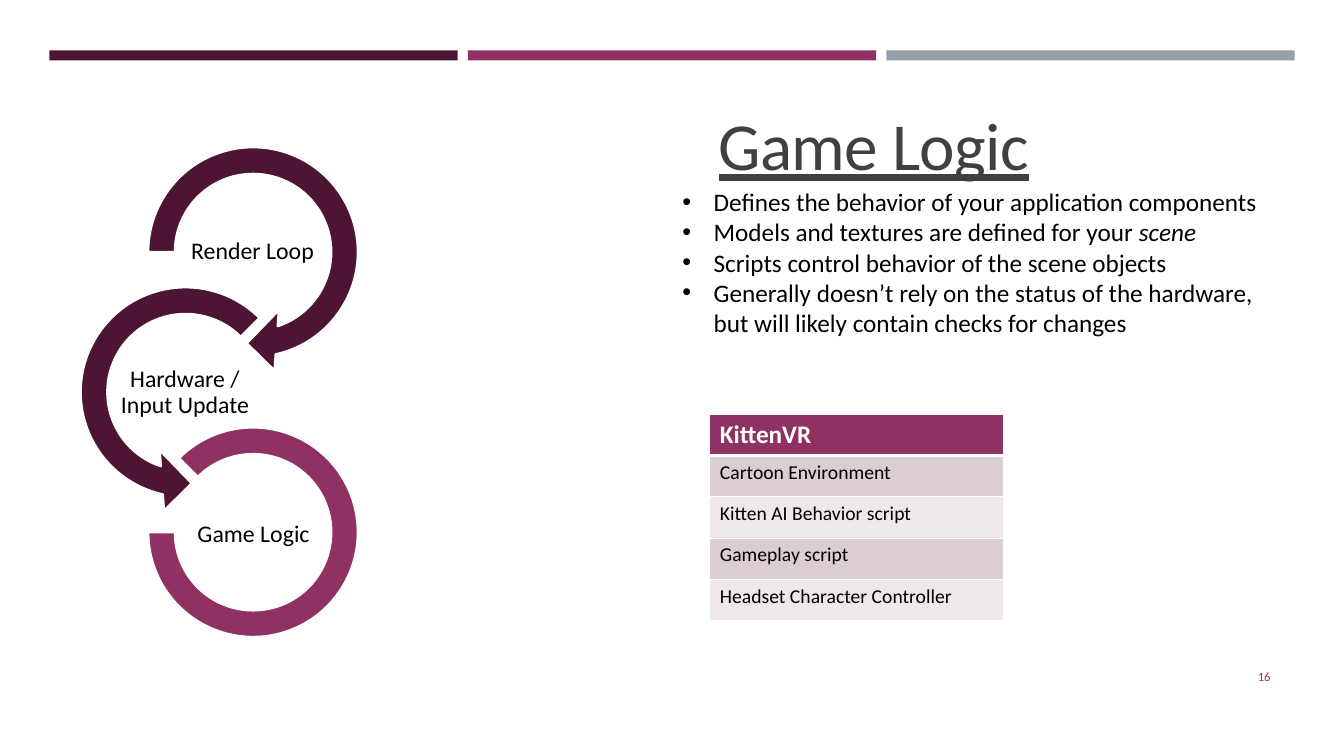
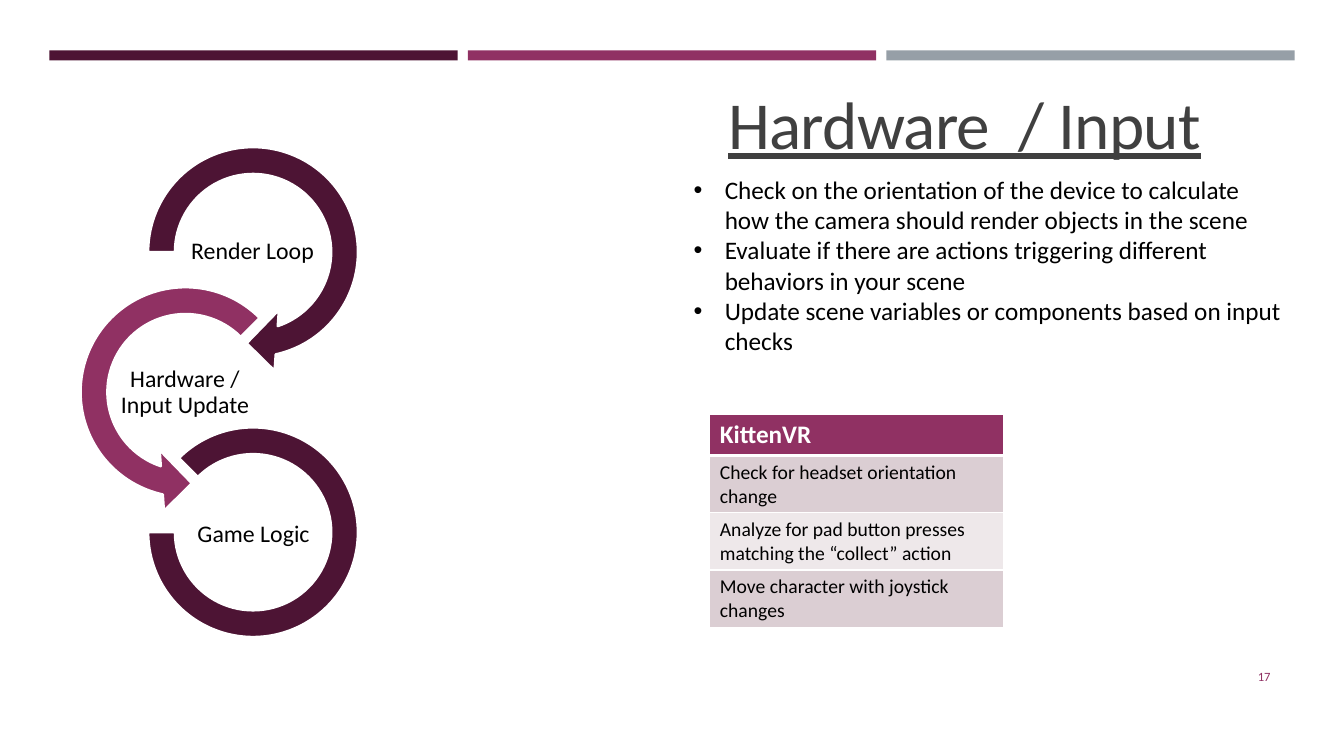
from lxml import etree
from pptx import Presentation
from pptx.dml.color import RGBColor
from pptx.enum import shapes, text
from pptx.oxml import ns
from pptx.util import Inches, Pt

FONT = "Calibri"
PLUM, BERRY, GREY = "4D1434", "903163", "969FA7"
INK, BLACK, WHITE = "404040", "000000", "FFFFFF"
ROW_TINTS = ("DBCED3", "EEE8EA")

STEPS = (
    ("Render Loop", shapes.MSO_SHAPE.CIRCULAR_ARROW, (0.67, 0, 2.42),
     (0.1098, 11.42, 45, 108, 0.125), (1.2, 0.87)),
    ("Hardware / Input Update", shapes.MSO_SHAPE.LEFT_CIRCULAR_ARROW, (0, 1.39, 2.42),
     (0.1098, 11.42, 63, 189, 0.125), (0.53, 2.27)),
    ("Game Logic", shapes.MSO_SHAPE.BLOCK_ARC, (0.84, 2.95, 2.08),
     (135, 108, 0.1274), (1.21, 3.68)),
)


def colour(value):
    return RGBColor.from_string(value)


def style(para, size, ink, bold=False):
    para.font.name = FONT
    para.font.size = Pt(size)
    para.font.color.rgb = colour(ink)
    para.font.bold = bold


def add_shape(parent, kind, box, fill, line=None):
    shape = parent.add_shape(kind, *map(Inches, box))
    shape.shadow.inherit = False
    shape.fill.solid()
    shape.fill.fore_color.rgb = colour(fill)
    if line:
        shape.line.color.rgb = colour(line)
        shape.line.width = Pt(1.75)
    else:
        shape.line.fill.background()
    return shape


def add_frame(parent, box, anchor=text.MSO_ANCHOR.TOP):
    frame = parent.add_textbox(*map(Inches, box)).text_frame
    frame.word_wrap = True
    frame.vertical_anchor = anchor
    return frame


def add_bands(page, left=0.49, top=0.5, width=4.05, gap=0.1):
    for index, fill in enumerate((PLUM, BERRY, GREY)):
        box = (left + index * (width + gap), top, width, 0.1)
        add_shape(page.shapes, shapes.MSO_SHAPE.RECTANGLE, box, fill)


def add_title(page, box, title):
    para = add_frame(page.shapes, box).paragraphs[0]
    para.alignment = text.PP_ALIGN.RIGHT
    para.line_spacing = 0.85
    style(para, 48, INK)
    para.font.underline = True
    span = para.add_run()
    span.text = title
    span.font._element.set("spc", "-50")


def add_bullets(page, box, items):
    frame = add_frame(page.shapes, box)
    for index, spans in enumerate(items):
        para = frame.add_paragraph() if index else frame.paragraphs[0]
        props = para._p.get_or_add_pPr()
        props.set("marL", str(Inches(0.31)))
        props.set("indent", str(-Inches(0.31)))
        etree.SubElement(props, ns.qn("a:buFont"), typeface="Arial")
        etree.SubElement(props, ns.qn("a:buChar"), char="•")
        style(para, 18, BLACK)
        for position, words in enumerate(spans):
            span = para.add_run()
            span.text = words
            if position:
                span.font.italic = True


def add_cycle(page, left, top, active):
    group = page.shapes.add_group_shape().shapes
    for name, kind, (x, y, size), adjustments, (label_x, label_y) in STEPS:
        fill = BERRY if name == active else PLUM
        ring = add_shape(group, kind, (left + x, top + y, size, size), fill, WHITE)
        for index, value in enumerate(adjustments):
            ring.adjustments[index] = value
        frame = add_frame(group, (left + label_x, top + label_y, 1.35, 0.67),
                          text.MSO_ANCHOR.MIDDLE)
        frame.margin_left = frame.margin_right = Inches(0.01)
        frame.margin_top = frame.margin_bottom = Inches(0.01)
        para = frame.paragraphs[0]
        para.text = name
        para.alignment = text.PP_ALIGN.CENTER
        para.line_spacing = 0.9
        style(para, 17, BLACK)


def set_borders(cell, bottom):
    props = cell._tc.get_or_add_tcPr()
    for side, width in (("L", 1), ("R", 1), ("T", 1), ("B", bottom)):
        line = etree.SubElement(props, ns.qn("a:ln" + side), w=str(Pt(width)))
        fill = etree.SubElement(line, ns.qn("a:solidFill"))
        etree.SubElement(fill, ns.qn("a:srgbClr"), val=WHITE)


def add_example(page, left, top, rows, width=2.91, row_height=0.41):
    lines = ("KittenVR",) + rows
    box = (left, top, width, row_height * len(lines))
    table = page.shapes.add_table(len(lines), 1, *map(Inches, box)).table
    for index, words in enumerate(lines):
        header = index == 0
        table.rows[index].height = Inches(row_height)
        cell = table.cell(index, 0)
        set_borders(cell, 3 if header else 1)
        cell.fill.solid()
        cell.fill.fore_color.rgb = colour(BERRY if header else ROW_TINTS[(index - 1) % 2])
        para = cell.text_frame.paragraphs[0]
        para.text = words
        style(para, 18 if header else 14, WHITE if header else BLACK, header)


def add_number(page, number):
    frame = add_frame(page.shapes, (11.55, 6.51, 1.15, 0.4), text.MSO_ANCHOR.MIDDLE)
    para = frame.paragraphs[0]
    para.text = str(number)
    para.alignment = text.PP_ALIGN.RIGHT
    style(para, 9, BERRY)


def add_page(deck, number, title, title_box, bullets, bullet_box, active, rows):
    page = deck.slides.add_slide(deck.slide_layouts[6])
    add_bands(page)
    add_title(page, title_box, title)
    add_bullets(page, bullet_box, bullets)
    add_cycle(page, 0.63, 1.29, active)
    add_example(page, 7.04, 4.11, rows)
    add_number(page, number)


def main():
    deck = Presentation()
    deck.slide_width, deck.slide_height = Inches(13.33), Inches(7.5)
    add_page(
        deck, 16, "Game Logic", (5.74, 1.1, 4.56, 1.59),
        (("Defines the behavior of your application components",),
         ("Models and textures are defined for your ", "scene"),
         ("Scripts control behavior of the scene objects",),
         ("Generally doesn’t rely on the status of the hardware, "
          "but will likely contain checks for changes",)),
        (6.67, 1.8, 6.05, 1.62), "Game Logic",
        ("Cartoon Environment", "Kitten AI Behavior script",
         "Gameplay script", "Headset Character Controller"))
    add_page(
        deck, 17, "Hardware  / Input", (6.25, 0.89, 5.76, 1.59),
        (("Check on the orientation of the device to calculate "
          "how the camera should render objects in the scene",),
         ("Evaluate if there are actions triggering different "
          "behaviors in your scene",),
         ("Update scene variables or components based on input checks",)),
        (6.78, 1.68, 6.05, 1.92), "Hardware / Input Update",
        ("Check for headset orientation change",
         "Analyze for pad button presses matching the “collect” action",
         "Move character with joystick changes"))
    deck.save("out.pptx")


if __name__ == "__main__":
    main()
